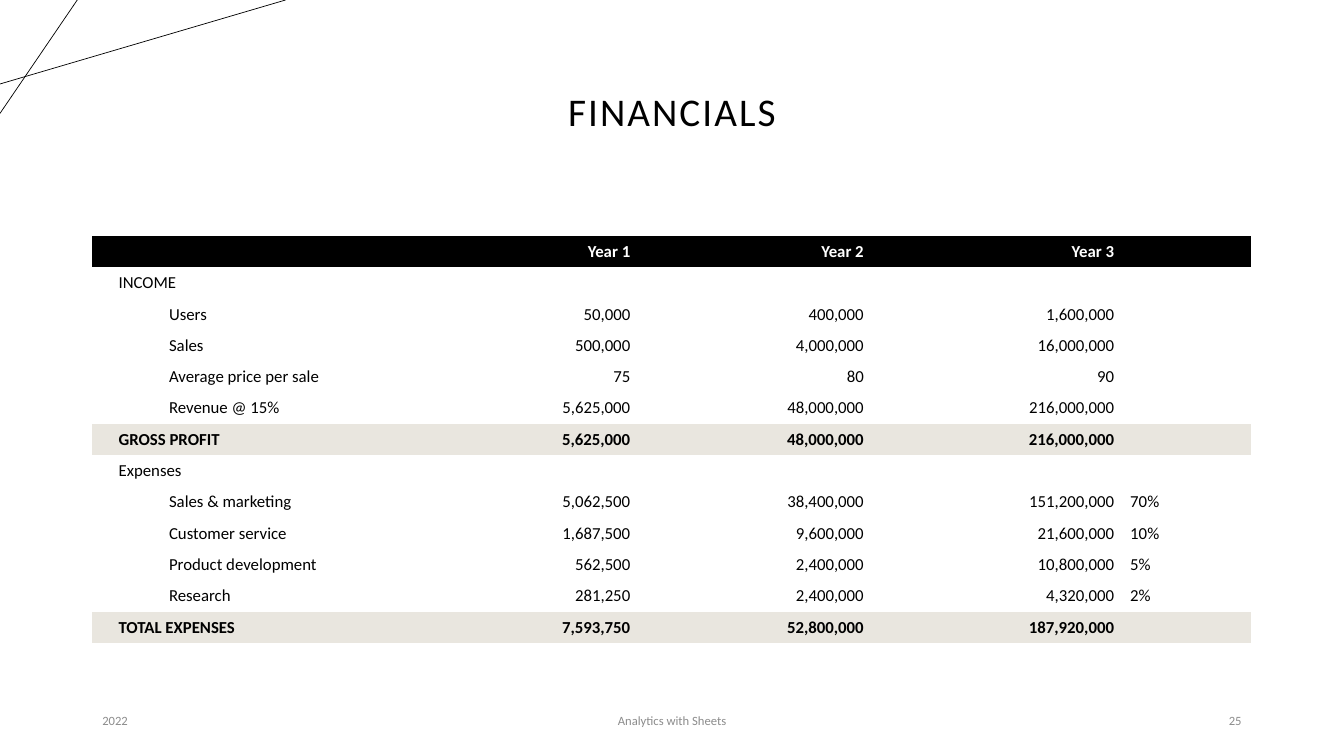
from dataclasses import dataclass
from typing import Optional

from lxml import etree
from pptx import Presentation, util as u
from pptx.dml.color import RGBColor
from pptx.enum import shapes, text
from pptx.oxml import ns

GRID_COLUMNS, GRID_ROWS = 160, 90
SLIDE_WIDTH, SLIDE_HEIGHT = u.Inches(13.33), u.Inches(7.5)
LEFT, CENTER, RIGHT = text.PP_ALIGN.LEFT, text.PP_ALIGN.CENTER, text.PP_ALIGN.RIGHT
PLAIN_TABLE_STYLE = "{2D5ABB26-0587-4C30-8999-92F81FD0307C}"


@dataclass(frozen=True)
class Theme:
    font: str = "Calibri"
    ink: RGBColor = RGBColor(0, 0, 0)
    paper: RGBColor = RGBColor(255, 255, 255)
    sand: RGBColor = RGBColor(0xE9, 0xE6, 0xDF)
    muted: RGBColor = RGBColor(0x8C, 0x8C, 0x8C)
    title_size: int = 28
    table_size: int = 12
    footer_size: int = 9


THEME = Theme()


@dataclass(frozen=True)
class Entry:
    label: str
    years: tuple = ("", "", "")
    share: str = ""
    indented: bool = False
    bold: bool = False
    fill: Optional[RGBColor] = None
    color: RGBColor = THEME.ink


@dataclass(frozen=True)
class Stroke:
    start: tuple
    end: tuple


@dataclass(frozen=True)
class FooterItem:
    words: str
    column: float
    span: float
    align: text.PP_ALIGN


def detail(label: str, *years: str, share: str = "") -> Entry:
    return Entry(label, years, share, indented=True)


def total(label: str, *years: str) -> Entry:
    return Entry(label, years, bold=True, fill=THEME.sand)


ENTRIES = [
    Entry("", ("Year 1", "Year 2", "Year 3"), bold=True, fill=THEME.ink, color=THEME.paper),
    Entry("INCOME"),
    detail("Users", "50,000", "400,000", "1,600,000"),
    detail("Sales", "500,000", "4,000,000", "16,000,000"),
    detail("Average price per sale", "75", "80", "90"),
    detail("Revenue @ 15%", "5,625,000", "48,000,000", "216,000,000"),
    total("GROSS PROFIT", "5,625,000", "48,000,000", "216,000,000"),
    Entry("Expenses"),
    detail("Sales & marketing", "5,062,500", "38,400,000", "151,200,000", share="70%"),
    detail("Customer service", "1,687,500", "9,600,000", "21,600,000", share="10%"),
    detail("Product development", "562,500", "2,400,000", "10,800,000", share="5%"),
    detail("Research", "281,250", "2,400,000", "4,320,000", share="2%"),
    total("TOTAL EXPENSES", "7,593,750", "52,800,000", "187,920,000"),
]
TABLE_SPANS = (42.5, 22.5, 27.8, 29.8, 15.3)
ENTRY_HEIGHT = 3.73
STROKES = [Stroke((0, 10), (34, 0)), Stroke((9.2, 0), (0, 13.5))]
FOOTER = [
    FooterItem("2022", 11, 36, LEFT),
    FooterItem("Analytics with Sheets", 53, 54, CENTER),
    FooterItem("25", 113, 36, RIGHT),
]


def across(columns: float) -> int:
    return round(SLIDE_WIDTH * columns / GRID_COLUMNS)


def down(rows: float) -> int:
    return round(SLIDE_HEIGHT * rows / GRID_ROWS)


def write(paragraph, words: str, size: int, color: RGBColor, align: text.PP_ALIGN, bold: bool = False):
    paragraph.alignment = align
    run = paragraph.add_run()
    run.text = words
    run.font.name = THEME.font
    run.font.size = u.Pt(size)
    run.font.bold = bold
    run.font.color.rgb = color
    return run


def draw_stroke(slide, stroke: Stroke) -> None:
    (x1, y1), (x2, y2) = stroke.start, stroke.end
    line = slide.shapes.add_connector(
        shapes.MSO_CONNECTOR.STRAIGHT, across(x1), down(y1), across(x2), down(y2))
    line.line.color.rgb = THEME.ink
    line.line.width = u.Pt(0.5)
    etree.SubElement(line._element.spPr, ns.qn("a:effectLst"))


def draw_title(slide, words: str) -> None:
    title = slide.shapes.title
    title.left, title.top = across(11), down(4.8)
    title.width, title.height = across(138), down(17.4)
    title.text_frame.vertical_anchor = text.MSO_ANCHOR.MIDDLE
    heading = title.text_frame.paragraphs[0]
    heading.line_spacing = 0.9
    run = write(heading, words, THEME.title_size, THEME.ink, CENTER)
    run.font._element.set("spc", "150")


def fill_cell(cell, words: str, entry: Entry, align: text.PP_ALIGN, is_label: bool) -> None:
    cell.vertical_anchor = text.MSO_ANCHOR.MIDDLE
    cell.margin_left = u.Inches(0.26 if is_label else 0.08)
    cell.margin_right = u.Inches(0.08)
    cell.margin_top = cell.margin_bottom = u.Inches(0.04)
    if entry.fill is None:
        cell.fill.background()
    else:
        cell.fill.solid()
        cell.fill.fore_color.rgb = entry.fill
    paragraph = cell.text_frame.paragraphs[0]
    if not words:
        end = etree.SubElement(paragraph._p, ns.qn("a:endParaRPr"))
        end.set("sz", str(THEME.table_size * 100))
        return
    write(paragraph, words, THEME.table_size, entry.color, align, entry.bold)
    if is_label and entry.indented:
        paragraph.level = 1
        properties = paragraph._p.get_or_add_pPr()
        properties.set("marL", str(u.Inches(0.5)))
        properties.set("indent", "0")


def draw_financials(slide) -> None:
    frame = slide.shapes.add_table(
        len(ENTRIES), len(TABLE_SPANS), across(11), down(28.1),
        across(sum(TABLE_SPANS)), down(ENTRY_HEIGHT * len(ENTRIES)))
    financials = frame.table
    financials.horz_banding = False
    financials._tbl.tblPr.find(ns.qn("a:tableStyleId")).text = PLAIN_TABLE_STYLE
    for column, span in zip(financials.columns, TABLE_SPANS):
        column.width = across(span)
    aligns = (LEFT, RIGHT, RIGHT, RIGHT, LEFT)
    for row, entry in zip(financials.rows, ENTRIES):
        row.height = down(ENTRY_HEIGHT)
        values = (entry.label, *entry.years, entry.share)
        for index, (cell, words, align) in enumerate(zip(row.cells, values, aligns)):
            fill_cell(cell, words, entry, align, index == 0)


def draw_footer_item(slide, item: FooterItem) -> None:
    box = slide.shapes.add_textbox(across(item.column), down(83.4), across(item.span), down(4.8))
    box.text_frame.word_wrap = True
    box.text_frame.vertical_anchor = text.MSO_ANCHOR.MIDDLE
    write(box.text_frame.paragraphs[0], item.words, THEME.footer_size, THEME.muted, item.align)


def main() -> None:
    deck = Presentation()
    deck.slide_width, deck.slide_height = SLIDE_WIDTH, SLIDE_HEIGHT
    slide = deck.slides.add_slide(deck.slide_layouts[5])
    for stroke in STROKES:
        draw_stroke(slide, stroke)
    draw_title(slide, "FINANCIALS")
    draw_financials(slide)
    for item in FOOTER:
        draw_footer_item(slide, item)
    deck.save("out.pptx")


if __name__ == "__main__":
    main()
